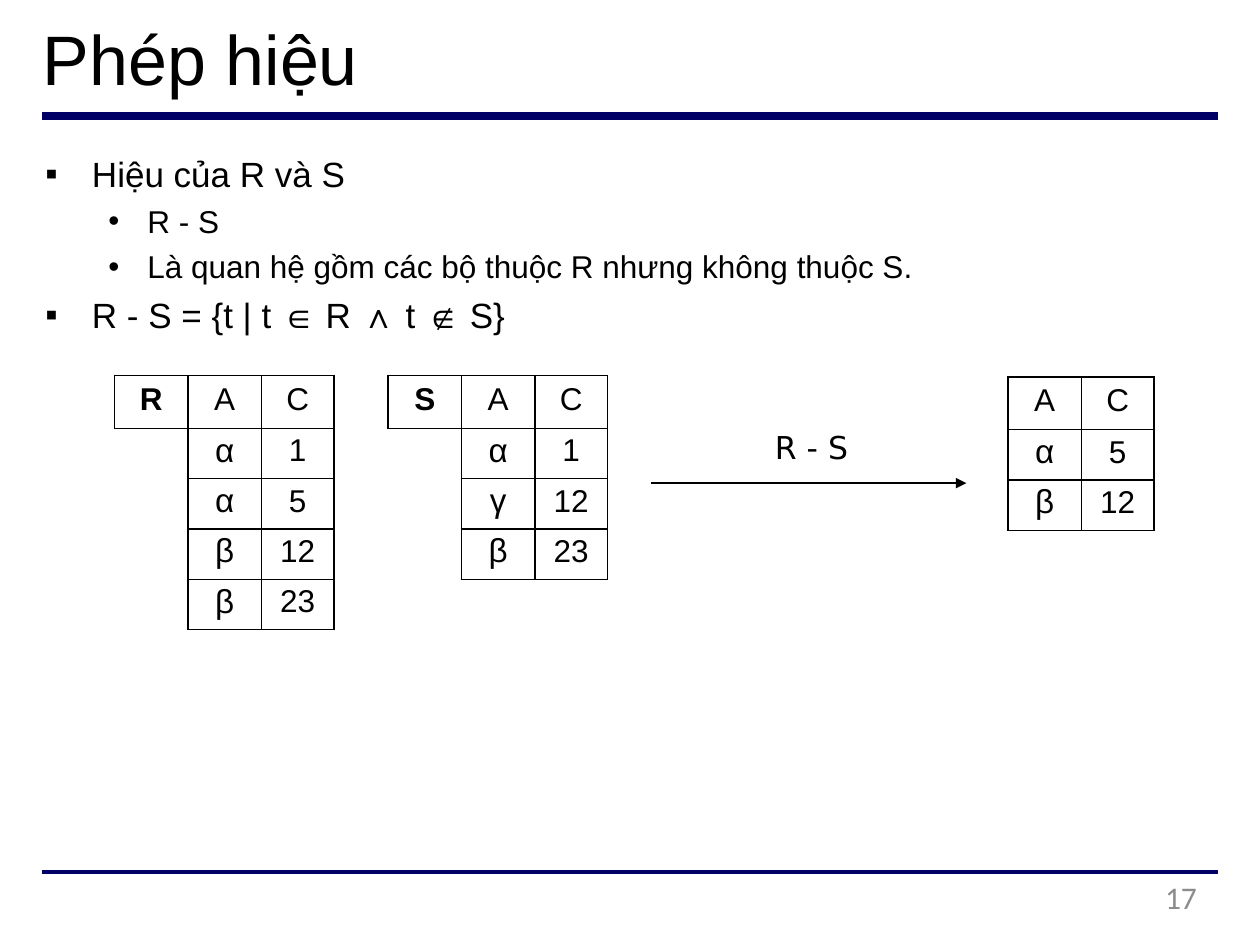
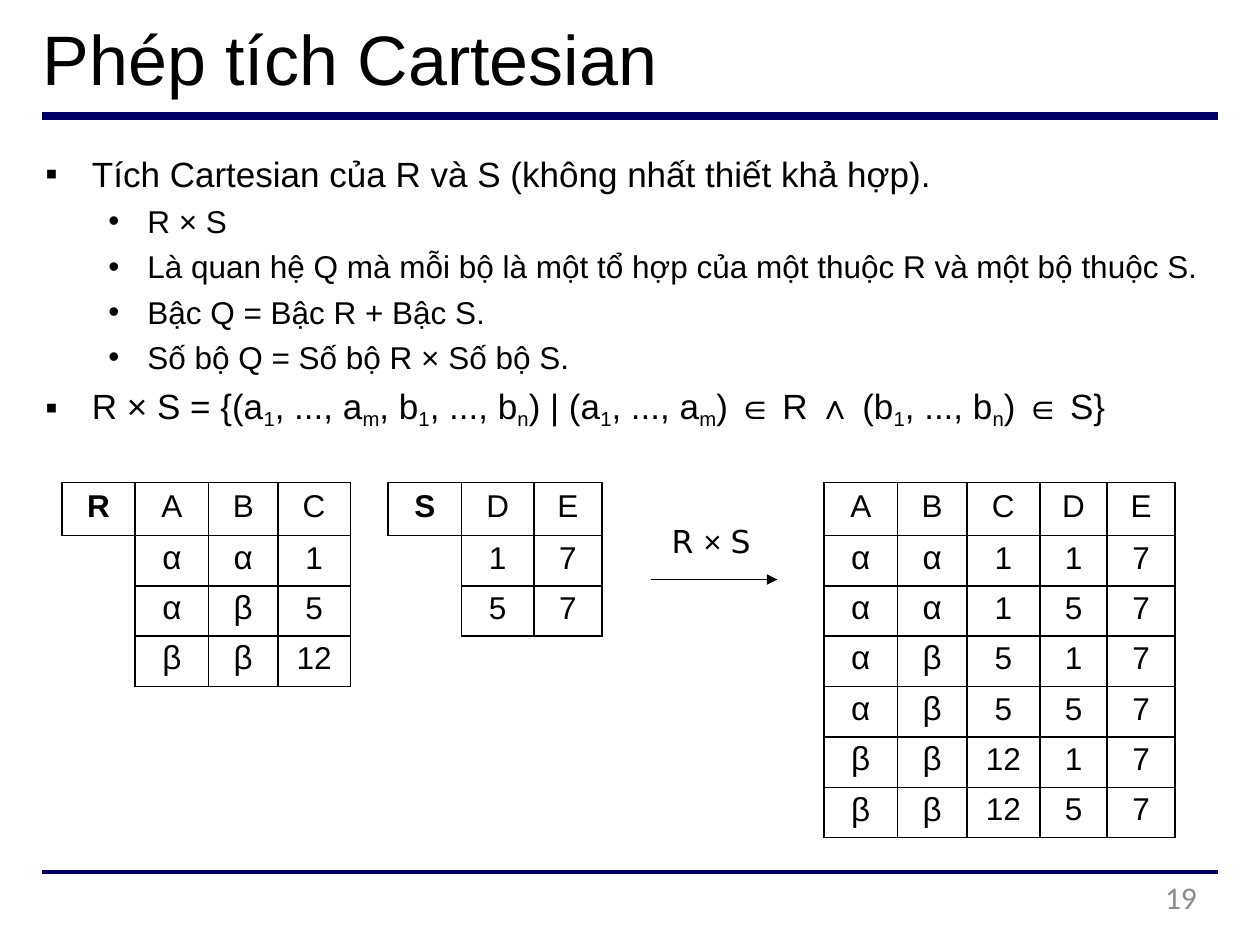
from lxml import etree
from pptx import Presentation
from pptx.dml.color import RGBColor
from pptx.enum.shapes import MSO_CONNECTOR
from pptx.enum.text import PP_ALIGN
from pptx.oxml.ns import qn
from pptx.util import Inches, Pt

STRAIGHT = MSO_CONNECTOR.STRAIGHT
LEFT, CENTER, RIGHT = PP_ALIGN.LEFT, PP_ALIGN.CENTER, PP_ALIGN.RIGHT

NAVY = RGBColor(0x00, 0x00, 0x66)
BLACK = RGBColor(0x00, 0x00, 0x00)
GRAY = RGBColor(0x8C, 0x8C, 0x8C)

BODY_FONT, LABEL_FONT, NUMBER_FONT = "Arial", "DejaVu Sans", "Calibri"
SLIDE_WIDTH, SLIDE_HEIGHT = Inches(10), Inches(7.5)
MARGIN = 3.33
TEXT_LEFT = 3.4
HEADER_ROW, DATA_ROW = 5.6, 5.33
GREEK = "αβγ"
SIDES = ("lnL", "lnR", "lnT", "lnB")
BULLETS = {
    0: ("▪", 0.39, 0.37, 20, 4.7),
    1: ("•", 0.83, 0.31, 18, 4.3),
}


def across(percent):
    return round(SLIDE_WIDTH * percent / 100)


def down(percent):
    return round(SLIDE_HEIGHT * percent / 100)


def style(font, size, name=BODY_FONT, color=BLACK, bold=False):
    font.size = Pt(size)
    font.name = name
    font.color.rgb = color
    font.bold = bold


def add_box(page, left, top, width, height, inset=0, wrap=True):
    box = page.shapes.add_textbox(across(left), down(top), across(width), down(height))
    frame = box.text_frame
    frame.word_wrap = wrap
    frame.margin_left = frame.margin_right = frame.margin_bottom = 0
    frame.margin_top = Inches(inset)
    return frame


def add_text(frame, text, size, name=BODY_FONT, color=BLACK, align=LEFT):
    frame.text = text
    para = frame.paragraphs[0]
    para.alignment = align
    style(para.runs[0].font, size, name, color)


def add_line(page, left, right, top, color, width):
    line = page.shapes.add_connector(
        STRAIGHT, across(left), down(top), across(right), down(top))
    line.line.color.rgb = color
    line.line.width = Pt(width)
    etree.SubElement(line._element.spPr, qn("a:effectLst"))
    return line


def add_arrow(page, left, right, top):
    arrow = add_line(page, left, right, top, BLACK, 1)
    etree.SubElement(arrow.line._get_or_add_ln(), qn("a:tailEnd"), type="triangle")


def add_operation(page, left, top, symbol):
    frame = add_box(page, left, top, 6.9, 4.4, 0.01, wrap=False)
    para = frame.paragraphs[0]
    symbol_font = BODY_FONT if symbol == "×" else LABEL_FONT
    for text, name in (("R ", LABEL_FONT), (f"{symbol} ", symbol_font), ("S", LABEL_FONT)):
        span = para.add_run()
        span.text = text
        style(span.font, 18, name)


def set_bullet(para, level):
    symbol, indent, hanging, _, _ = BULLETS[level]
    properties = para._p.get_or_add_pPr()
    properties.set("marL", str(Inches(indent)))
    properties.set("indent", str(-Inches(hanging)))
    etree.SubElement(properties, qn("a:buFont"), typeface=BODY_FONT)
    etree.SubElement(properties, qn("a:buChar"), char=symbol)


def add_bullets(page, items):
    frame = add_box(page, TEXT_LEFT, 15.07, 93, 30, 0.08)
    for index, (level, text) in enumerate(items):
        para = frame.add_paragraph() if index else frame.paragraphs[0]
        size, space = BULLETS[level][3:]
        para.level = level
        if index:
            para.space_before = Pt(space)
        set_bullet(para, level)
        for position, piece in enumerate(text.split("_")):
            span = para.add_run()
            span.text = piece
            style(span.font, size)
            if position % 2:
                span.font._element.set("baseline", "-21000")


def set_borders(cell, visible=SIDES):
    properties = cell._tc.get_or_add_tcPr()
    for side in SIDES:
        border = etree.SubElement(properties, qn(f"a:{side}"), w=str(Pt(1)))
        if side in visible:
            fill = etree.SubElement(border, qn("a:solidFill"))
            etree.SubElement(fill, qn("a:srgbClr"), val=str(BLACK))
        else:
            etree.SubElement(border, qn("a:noFill"))
    cell.fill.background()


def fill_cell(cell, text, header, bold):
    greek = text in GREEK
    cell.margin_top = Inches(0.05 if header else 0.03 if greek else 0.04)
    cell.text = text
    para = cell.text_frame.paragraphs[0]
    para.alignment = CENTER
    style(para.runs[0].font, 19 if greek else 18, bold=bold)


def add_relation(page, left, top, widths, attributes, rows, name=None):
    stub = 1 if name else 0
    lines = [attributes.split()] + [row.split() for row in rows]
    heights = [HEADER_ROW] + [DATA_ROW] * len(rows)
    frame = page.shapes.add_table(
        len(lines), len(widths), across(left), down(top),
        across(sum(widths)), down(sum(heights)))
    table = frame.table
    table.first_row = table.horz_banding = False
    for column, width in zip(table.columns, widths):
        column.width = across(width)
    for row, height in zip(table.rows, heights):
        row.height = down(height)
    for row_index, line in enumerate(lines):
        for column_index in range(len(widths)):
            cell = table.cell(row_index, column_index)
            cell.margin_left = cell.margin_right = 0
            cell.margin_top = cell.margin_bottom = 0
            in_stub = column_index < stub
            set_borders(cell, ("lnT", "lnR") if in_stub and row_index else SIDES)
            if not in_stub:
                fill_cell(cell, line[column_index - stub], row_index == 0, False)
            elif row_index == 0:
                fill_cell(cell, name, True, True)
    if stub:
        table.cell(1, 0).merge(table.cell(len(rows), 0))


def add_page(deck, title, number, items):
    page = deck.slides.add_slide(deck.slide_layouts[6])
    add_line(page, MARGIN, 100 - MARGIN, 12.27, NAVY, 4.5)
    add_line(page, MARGIN, 100 - MARGIN, 92.27, NAVY, 2.25)
    add_text(add_box(page, TEXT_LEFT, 1.47, 83.4, 9.2, 0.01), title, 40)
    add_text(add_box(page, 72, 92.93, 23, 5.07), number, 18, NUMBER_FONT, GRAY, RIGHT)
    add_bullets(page, items)
    return page


def add_difference(deck):
    page = add_page(deck, "Phép hiệu", "17", [
        (0, "Hiệu của R và S"),
        (1, "R - S"),
        (1, "Là quan hệ gồm các bộ thuộc R nhưng không thuộc S."),
        (0, "R - S = {t | t ∈ R ∧ t ∉ S}"),
    ])
    widths = [5.83, 5.83, 5.75]
    add_relation(page, 9.1, 39.73, widths, "A C", ["α 1", "α 5", "β 12", "β 23"], "R")
    add_relation(page, 30.8, 39.73, widths, "A C", ["α 1", "γ 12", "β 23"], "S")
    add_operation(page, 61.5, 45.2, "-")
    add_arrow(page, 51.7, 76.7, 51.13)
    add_relation(page, 80, 39.87, widths[1:], "A C", ["α 5", "β 12"])


def add_product(deck):
    page = add_page(deck, "Phép tích Cartesian", "19", [
        (0, "Tích Cartesian của R và S (không nhất thiết khả hợp)."),
        (1, "R × S"),
        (1, "Là quan hệ Q mà mỗi bộ là một tổ hợp của một thuộc R và một bộ thuộc S."),
        (1, "Bậc Q = Bậc R + Bậc S."),
        (1, "Số bộ Q = Số bộ R × Số bộ S."),
        (0, "R × S = {(a_1_, ..., a_m_, b_1_, ..., b_n_) | (a_1_, ..., a_m_)"
            " ∈ R ∧ (b_1_, ..., b_n_) ∈ S}"),
    ])
    top = 51.07
    left_rows, right_rows = ["α α 1", "α β 5", "β β 12"], ["1 7", "5 7"]
    pairs = [f"{first} {second}" for first in left_rows for second in right_rows]
    add_relation(page, 4.9, top, [5.83, 5.83, 5.5, 5.75], "A B C", left_rows, "R")
    add_relation(page, 30.8, top, [5.83, 5.75, 5.4], "D E", right_rows, "S")
    add_relation(page, 65.4, top, [5.83, 5.5, 5.8, 5.35, 5.4], "A B C D E", pairs)
    add_arrow(page, 51.7, 61.7, 61.33)
    add_operation(page, 53.3, 55.07, "×")


def main():
    deck = Presentation()
    deck.slide_width, deck.slide_height = SLIDE_WIDTH, SLIDE_HEIGHT
    add_difference(deck)
    add_product(deck)
    deck.save("out.pptx")


if __name__ == "__main__":
    main()
